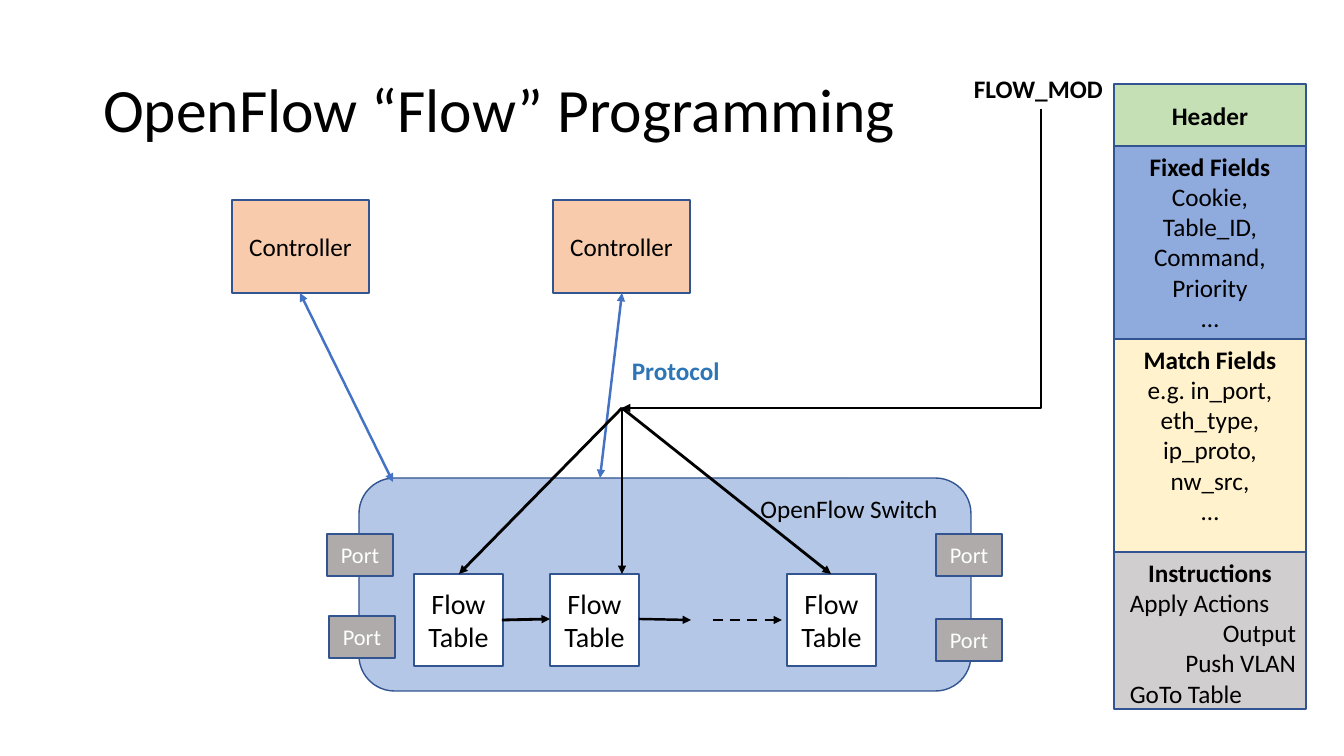
import lxml.etree
import pptx
import pptx.util
import pptx.dml.color
import pptx.enum.dml
import pptx.enum.shapes
import pptx.enum.text
import pptx.oxml.ns

# Content: lengths in px, 1344 x 756 slide
TITLE = ("OpenFlow “Flow” Programming", (93, 40, 1159, 146))
CONTROLLERS = ("Controller", (137, 93), [(232, 200), (553, 200)])
SWITCH = ("OpenFlow Switch", (359, 478, 612, 213))
TABLES = ("Flow Table", (89, 92), [(414, 574), (550, 574), (787, 574)])
PORTS = ("Port", (66, 42), [(327, 534), (329, 616), (936, 534), (936, 619)])
LABELS = [("Protocol", (622, 350, 177, 40), "protocol"),
          ("FLOW_MOD", (964, 68, 154, 40), "ink")]

# Message parts: fill, height, anchor, then (text, alignment) lines
MESSAGE_AT = (1114, 84, 192)
MESSAGE = [
    ("header", 62, "MIDDLE", [("Header", "CENTER")]),
    ("fixed", 193, "TOP", [("Fixed Fields", "CENTER"),
                           ("Cookie, Table_ID, Command,", "CENTER"),
                           ("Priority", "CENTER"), ("…", "CENTER")]),
    ("match", 213, "TOP", [("Match Fields", "CENTER"),
                           ("e.g. in_port, eth_type, ip_proto, nw_src,", "CENTER"),
                           ("…", "CENTER")]),
    ("instructions", 157, "TOP", [("Instructions", "CENTER"),
                                  ("Apply Actions", "LEFT"), ("Output", "RIGHT"),
                                  ("Push VLAN", "RIGHT"), ("GoTo Table", "LEFT")]),
]
LEFT_INDENT = 6

# Arrows: from, to, style
HUB = (622, 408)
FLOW_MOD_START = (1041, 109)
ARROWS = [
    ((300, 293), (393, 482), "control"),
    ((622, 293), (600, 478), "control"),
    ((502, 620), (550, 619), "heavy"),
    ((639, 619), (691, 620), "plain"),
    ((713, 620), (782, 620), "dashed"),
    (HUB, (459, 574), "heavy"),
    (HUB, (622, 574), "heavy"),
    (HUB, (831, 574), "heavy"),
]

THEME = {
    "font": "Calibri",
    "color": {"ink": "000000", "white": "FFFFFF", "edge": "325491",
              "controller": "F8CBAD", "switch": "B4C7E7", "port": "AFABAB",
              "protocol": "2E75B6", "control": "4472C4", "header": "C5E0B4",
              "fixed": "8FAADC", "match": "FFF2CC", "instructions": "D0CECE"},
    "size": {"title": 44, "table": 20, "body": 18, "port": 16},
    "edge": 1,
    # Arrow styles: color, width, both ends, dashed
    "arrow": {"control": ("control", 1.75, True, False),
              "heavy": ("ink", 2, False, False),
              "plain": ("ink", 1.75, False, False),
              "dashed": ("ink", 1.75, False, True)},
}
SCALE = 12192000 / 1344
ALIGN = pptx.enum.text.PP_ALIGN
ANCHOR = pptx.enum.text.MSO_ANCHOR
SHAPE = pptx.enum.shapes.MSO_SHAPE
qn = pptx.oxml.ns.qn


def px(*values):
    return [pptx.util.Emu(round(v * SCALE)) for v in values]


def rgb(name):
    return pptx.dml.color.RGBColor.from_string(THEME["color"][name])


def apply(target, **values):
    for name, value in values.items():
        setattr(target, name, value)


def write(tf, lines, color="ink", size="body", bold_first=False, anchor="MIDDLE"):
    apply(tf, word_wrap=True, vertical_anchor=ANCHOR[anchor],
          auto_size=pptx.enum.text.MSO_AUTO_SIZE.NONE)
    for i, (text, align) in enumerate(lines):
        p = tf.add_paragraph() if i else tf.paragraphs[0]
        p.alignment = ALIGN[align]
        r = p.add_run()
        r.text = text
        apply(r.font, name=THEME["font"], bold=bold_first and i == 0,
              size=pptx.util.Pt(THEME["size"][size]))
        r.font.color.rgb = rgb(color)


def box(s, at, fill, lines, kind=SHAPE.RECTANGLE, **text):
    sp = s.shapes.add_shape(kind, *px(*at))
    sp.shadow.inherit = False
    sp.fill.solid()
    sp.fill.fore_color.rgb = rgb(fill)
    sp.line.color.rgb = rgb("edge")
    sp.line.width = pptx.util.Pt(THEME["edge"])
    write(sp.text_frame, lines, **text)
    return sp


def boxes(s, group, fill, **text):
    label, size, places = group
    for place in places:
        box(s, place + size, fill, [(label, "CENTER")], **text)


def arrow(s, start, end, style):
    color, width, both, dashed = THEME["arrow"][style]
    c = s.shapes.add_connector(pptx.enum.shapes.MSO_CONNECTOR.STRAIGHT,
                               *px(*start, *end))
    c.line.color.rgb = rgb(color)
    c.line.width = pptx.util.Pt(width)
    if dashed:
        c.line.dash_style = pptx.enum.dml.MSO_LINE.DASH
    sppr = c._element.spPr
    for tag in ["a:headEnd", "a:tailEnd"] if both else ["a:tailEnd"]:
        lxml.etree.SubElement(sppr.find(qn("a:ln")), qn(tag), type="triangle")
    lxml.etree.SubElement(sppr, qn("a:effectLst"))
    return c


def bent_arrow(s, start, end, style):
    # A quarter turn makes the connector go down first, then left
    mid_x, mid_y = (start[0] + end[0]) / 2, (start[1] + end[1]) / 2
    half_w, half_h = (end[1] - start[1]) / 2, (start[0] - end[0]) / 2
    c = arrow(s, (mid_x - half_w, mid_y - half_h),
              (mid_x + half_w, mid_y + half_h), style)
    sppr = c._element.spPr
    sppr.find(qn("a:prstGeom")).set("prst", "bentConnector2")
    sppr.find(qn("a:xfrm")).set("rot", str(90 * 60000))


def main():
    prs = pptx.Presentation()
    prs.slide_width, prs.slide_height = px(1344, 756)
    s = prs.slides.add_slide(prs.slide_layouts[5])

    # Title
    text, at = TITLE
    title = s.shapes.title
    apply(title, **dict(zip(("left", "top", "width", "height"), px(*at))))
    write(title.text_frame, [(text, "LEFT")], size="title")
    title.text_frame.paragraphs[0].line_spacing = 0.9

    # Controllers, switch, flow tables and ports
    boxes(s, CONTROLLERS, "controller")
    text, at = SWITCH
    sp = box(s, at, "switch", [(text, "RIGHT")], kind=SHAPE.ROUNDED_RECTANGLE,
             anchor="TOP")
    sp.text_frame.margin_right = px(23)[0]
    boxes(s, TABLES, "white", size="table")
    boxes(s, PORTS, "port", color="white", size="port")

    # Labels
    for text, at, color in LABELS:
        tb = s.shapes.add_textbox(*px(*at))
        write(tb.text_frame, [(text, "LEFT")], color=color, bold_first=True,
              anchor="TOP")

    # Message parts, stacked
    left, top, width = MESSAGE_AT
    for fill, height, anchor, lines in MESSAGE:
        sp = box(s, (left, top, width, height), fill, lines, bold_first=True,
                 anchor=anchor)
        for p in sp.text_frame.paragraphs:
            if p.alignment == ALIGN.LEFT:
                p._p.get_or_add_pPr().set("marL", str(px(LEFT_INDENT)[0]))
        top += height

    # Arrows
    bent_arrow(s, FLOW_MOD_START, HUB, "plain")
    for start, end, style in ARROWS:
        arrow(s, start, end, style)

    prs.save("out.pptx")


if __name__ == "__main__":
    main()
